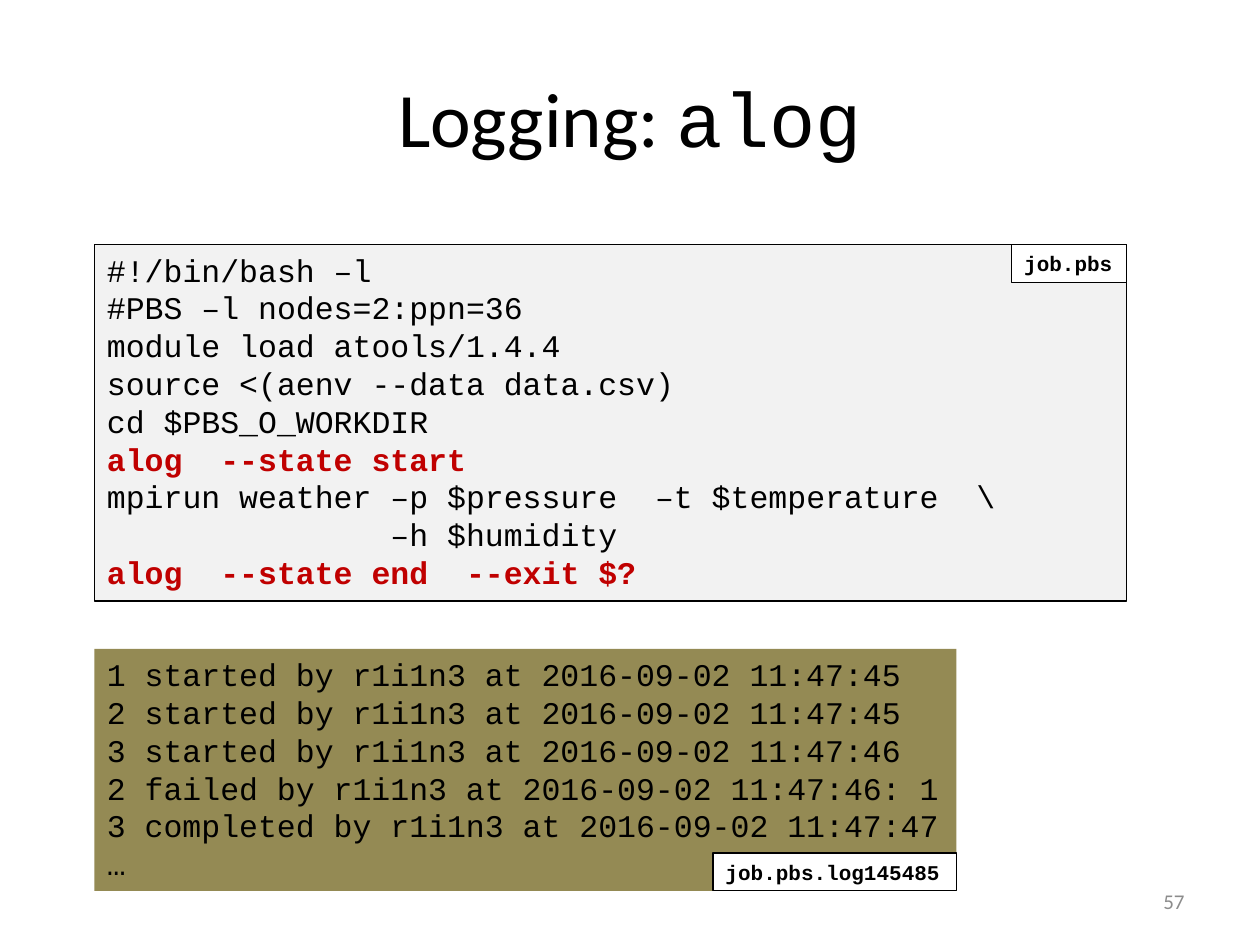
"""Build the slide on logging with alog: a job script and the log it produces."""
from dataclasses import dataclass

from pptx import Presentation
from pptx.dml.color import RGBColor
from pptx.enum.text import MSO_ANCHOR, MSO_AUTO_SIZE, PP_ALIGN
from pptx.util import Inches, Pt

CENTER, RIGHT = PP_ALIGN.CENTER, PP_ALIGN.RIGHT
MIDDLE = MSO_ANCHOR.MIDDLE
GROW = MSO_AUTO_SIZE.SHAPE_TO_FIT_TEXT
TITLE_ONLY = 5
COLUMNS, ROWS = 100, 75

JOB_SCRIPT = r"""#!/bin/bash –l
#PBS –l nodes=2:ppn=36
module load atools/1.4.4
source <(aenv --data data.csv)
cd $PBS_O_WORKDIR
alog  --state start
mpirun weather –p $pressure  –t $temperature  \
               –h $humidity
alog  --state end  --exit $?"""

JOB_LOG = """1 started by r1i1n3 at 2016-09-02 11:47:45
2 started by r1i1n3 at 2016-09-02 11:47:45
3 started by r1i1n3 at 2016-09-02 11:47:46
2 failed by r1i1n3 at 2016-09-02 11:47:46: 1
3 completed by r1i1n3 at 2016-09-02 11:47:47
…"""


@dataclass(frozen=True)
class Theme:
    """Fonts, type sizes and colours of the slide."""
    body: str = "Calibri"
    mono: str = "Courier New"
    title_size: int = 44
    code_size: int = 18
    small_size: int = 12
    line_width: float = 0.75
    ink: str = "000000"
    accent: str = "C00000"
    muted: str = "8C8C8C"
    paper: str = "FFFFFF"
    script_fill: str = "F2F2F2"
    log_fill: str = "948A54"


def write(paragraph, text, *, font, size, color, bold=False, align=None):
    """Add one formatted run to a paragraph."""
    run = paragraph.add_run()
    run.text = text
    run.font.name = font
    run.font.size = Pt(size)
    run.font.bold = bold
    run.font.color.rgb = RGBColor.from_string(color)
    if align is not None:
        paragraph.alignment = align


class SlideBuilder:
    """Hold the theme and the current slide, and place elements on its grid."""

    def __init__(self, deck, theme):
        """Start a title-only slide in the deck."""
        self.theme = theme
        self.column = deck.slide_width / COLUMNS
        self.row = deck.slide_height / ROWS
        self.slide = deck.slides.add_slide(deck.slide_layouts[TITLE_ONLY])

    def place(self, left, top, width, height):
        """Turn grid columns and rows into slide lengths."""
        return (round(left * self.column), round(top * self.row),
                round(width * self.column), round(height * self.row))

    def title(self, area, parts):
        """Fill the title placeholder with (text, font) parts."""
        heading = self.slide.shapes.title
        heading.left, heading.top, heading.width, heading.height = self.place(*area)
        heading.text_frame.vertical_anchor = MIDDLE
        for text, font in parts:
            write(heading.text_frame.paragraphs[0], text, font=font, align=CENTER,
                  size=self.theme.title_size, color=self.theme.ink)

    def page_number(self, area, number):
        """Put the page number at the lower right."""
        frame = self.slide.shapes.add_textbox(*self.place(*area)).text_frame
        frame.word_wrap = True
        frame.vertical_anchor = MIDDLE
        write(frame.paragraphs[0], number, font=self.theme.body, align=RIGHT,
              size=self.theme.small_size, color=self.theme.muted)

    def box(self, shapes, area, text, *, fill, size, outlined=True, wrap=False,
            bold=False, highlight=None):
        """Add a filled box of code, with highlighted lines bold in the accent colour."""
        panel = shapes.add_textbox(*self.place(*area))
        panel.fill.solid()
        panel.fill.fore_color.rgb = RGBColor.from_string(fill)
        if outlined:
            panel.line.color.rgb = RGBColor.from_string(self.theme.ink)
            panel.line.width = Pt(self.theme.line_width)
        frame = panel.text_frame
        frame.word_wrap = wrap
        frame.auto_size = GROW
        for index, line in enumerate(text.split("\n")):
            paragraph = frame.add_paragraph() if index else frame.paragraphs[0]
            marked = highlight is not None and line.startswith(highlight)
            write(paragraph, line, font=self.theme.mono, size=size, bold=bold or marked,
                  color=self.theme.accent if marked else self.theme.ink)

    def listing(self, area, text, file_name, tag_width, *, tag_at_bottom=False, **style):
        """Group a code box with a file name tag in one of its right corners."""
        left, top, width, height = area
        tag_height = 3
        tag_top = top + height - tag_height if tag_at_bottom else top
        shapes = self.slide.shapes.add_group_shape().shapes
        self.box(shapes, area, text, size=self.theme.code_size, **style)
        self.box(shapes, (left + width - tag_width, tag_top, tag_width, tag_height),
                 file_name, fill=self.theme.paper, size=self.theme.small_size, bold=True)


def main():
    """Build and save the slide."""
    deck = Presentation()
    deck.slide_width, deck.slide_height = Inches(10), Inches(7.5)
    theme = Theme()
    builder = SlideBuilder(deck, theme)
    builder.title((5, 3, 90, 12.5), [("Logging: ", theme.body), ("alog", theme.mono)])
    builder.page_number((71.7, 69.5, 23.3, 4), "57")
    builder.listing((7.5, 19.4, 81.9, 28.3), JOB_SCRIPT, "job.pbs", 9.1,
                    fill=theme.script_fill, wrap=True, highlight="alog")
    builder.listing((7.5, 51.5, 68.4, 19.2), JOB_LOG, "job.pbs.log145485", 19.3,
                    tag_at_bottom=True, fill=theme.log_fill, outlined=False)
    deck.save("out.pptx")


if __name__ == "__main__":
    main()
